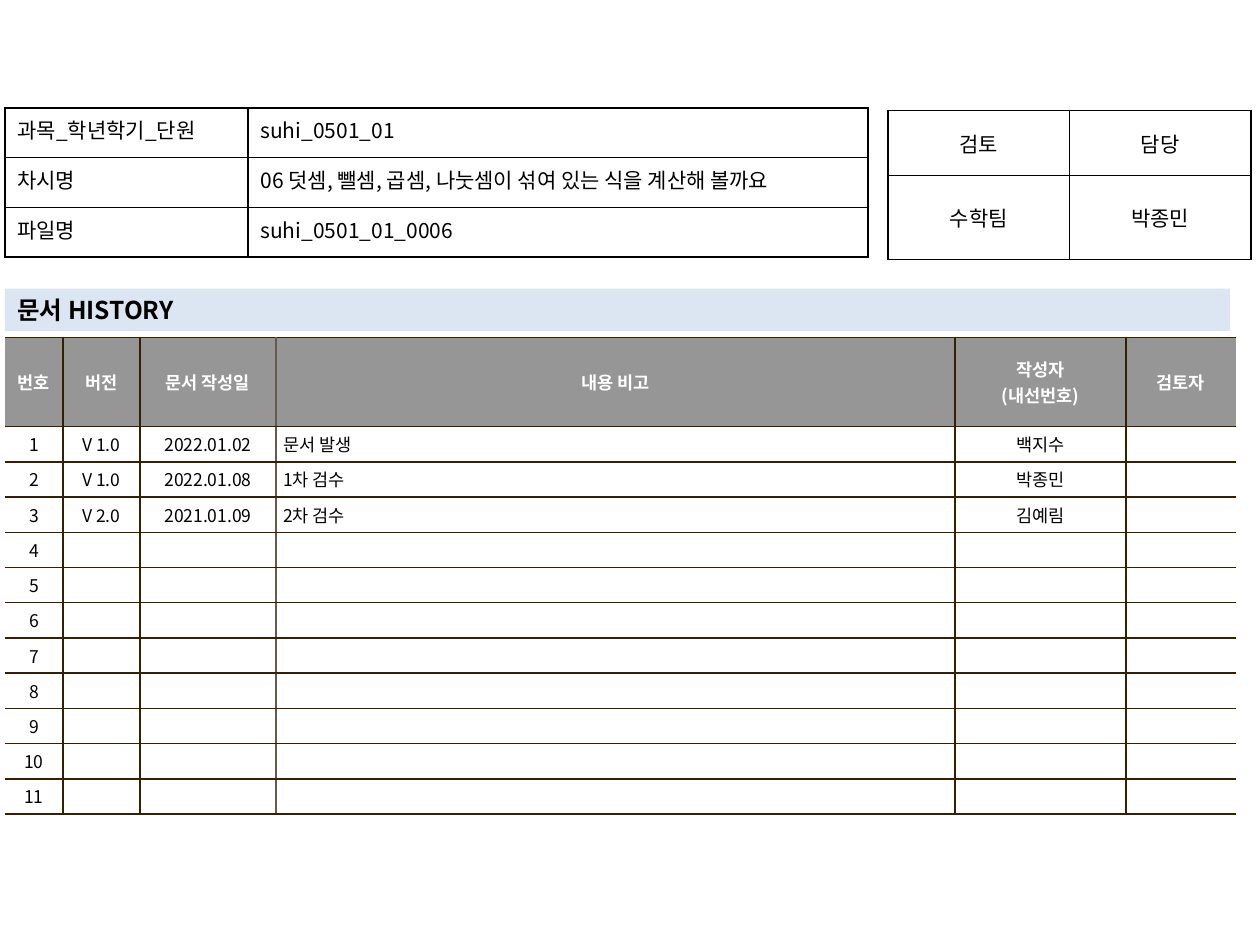
from lxml import etree
from pptx import Presentation
from pptx.dml.color import RGBColor
from pptx.enum.shapes import MSO_SHAPE
from pptx.enum.text import MSO_ANCHOR, PP_ALIGN
from pptx.oxml.ns import qn
from pptx.util import Cm, Pt

RECT = MSO_SHAPE.RECTANGLE
TOP, MID = MSO_ANCHOR.TOP, MSO_ANCHOR.MIDDLE
LEFT, MIDDLE, JUST = PP_ALIGN.LEFT, PP_ALIGN.CENTER, PP_ALIGN.JUSTIFY
FONT = "Noto Sans CJK KR"
BLACK, WHITE, GRAY, BLUE = "000000", "FFFFFF", "969696", "DCE6F2"
BROWN, TAUPE = "362000", "645B4C"
HEADS = ["번호", "버전", "문서 작성일", "내용 비고", "작성자\n(내선번호)", "검토자"]
LOGS = [
    ["V 1.0", "2022.01.02", "문서 발생", "백지수"],
    ["V 1.0", "2022.01.08", "1차 검수", "박종민"],
    ["V 2.0", "2021.01.09", "2차 검수", "김예림"],
]
LINES = 11


def color(code):
    """Turn a hex string into a colour."""
    return RGBColor.from_string(code)


def write(frame, text, size, align, ink=BLACK, bold=False):
    """Fill a text frame, one paragraph for each line of text."""
    for num, line in enumerate(text.split("\n")):
        para = frame.add_paragraph() if num else frame.paragraphs[0]
        para.alignment = align
        if not line:
            end = etree.SubElement(para._p, qn("a:endParaRPr"))
            end.set("sz", str(size * 100))
            continue
        run = para.add_run()
        run.text = line
        font = run.font
        font.name, font.size, font.bold = FONT, Pt(size), bold
        font.color.rgb = color(ink)
        east = etree.SubElement(run._r.get_or_add_rPr(), qn("a:ea"))
        east.set("typeface", FONT)


def edge(cell, sides):
    """Draw one-point borders; sides maps L, R, T and B to a colour or None."""
    props = cell._tc.get_or_add_tcPr()
    for side in "LRTB":
        line = etree.SubElement(props, qn("a:ln" + side), w=str(Pt(1)))
        code = sides[side]
        if code is None:
            etree.SubElement(line, qn("a:noFill"))
        else:
            fill = etree.SubElement(line, qn("a:solidFill"))
            etree.SubElement(fill, qn("a:srgbClr"), val=code)


def pad(cell, across, down):
    """Set the cell margins in centimetres."""
    cell.margin_left = cell.margin_right = Cm(across)
    cell.margin_top = cell.margin_bottom = Cm(down)


def grid(slide, left, top, cols, rows):
    """Add a plain table with the given column widths and row heights."""
    frame = slide.shapes.add_table(
        len(rows), len(cols), Cm(left), Cm(top), Cm(sum(cols)), Cm(sum(rows)))
    table = frame.table
    table.first_row = table.horz_banding = False
    for col, width in zip(table.columns, cols):
        col.width = Cm(width)
    for row, height in zip(table.rows, rows):
        row.height = Cm(height)
    return table


def form(slide, left, top, cols, rows, texts, aligns, anchor):
    """Add a black-ruled table of short entries."""
    table = grid(slide, left, top, cols, rows)
    for r, line in enumerate(texts):
        for c, text in enumerate(line):
            cell = table.cell(r, c)
            edge(cell, dict.fromkeys("LRTB", BLACK))
            cell.fill.background()
            pad(cell, 0.25, 0.13)
            cell.vertical_anchor = anchor
            write(cell.text_frame, text, 12, aligns[c])


def banner(slide, left, top, width, height, text):
    """Add the tinted heading bar."""
    bar = slide.shapes.add_shape(RECT, Cm(left), Cm(top), Cm(width), Cm(height))
    bar.shadow.inherit = False
    bar.fill.solid()
    bar.fill.fore_color.rgb = color(BLUE)
    bar.line.fill.background()
    frame = bar.text_frame
    frame.word_wrap = True
    frame.vertical_anchor = MID
    write(frame, text, 14, LEFT, bold=True)


def history(slide, left, top):
    """Add the change log with its header and numbered lines."""
    cols = [1.17, 1.55, 2.74, 13.69, 3.45, 2.21]
    table = grid(slide, left, top, cols, [1.8] + [0.71] * LINES)
    last = len(cols) - 1
    for r in range(LINES + 1):
        log = LOGS[r - 1] if 0 < r <= len(LOGS) else [""] * 4
        texts = [str(r), *log, ""] if r else HEADS
        for c, text in enumerate(texts):
            cell = table.cell(r, c)
            edge(cell, {
                "L": None if c == 0 else TAUPE if c == 3 else BROWN,
                "R": None if c == last else TAUPE if c == 2 else BROWN,
                "T": BROWN, "B": BROWN})
            cell.fill.solid()
            cell.fill.fore_color.rgb = color(WHITE if r else GRAY)
            pad(cell, 0.15, 0.1)
            cell.vertical_anchor = MID
            align = LEFT if r and c == 3 else MIDDLE
            write(cell.text_frame, text, 10, align, BLACK if r else WHITE, not r)


def main():
    """Build the document history slide."""
    deck = Presentation()
    deck.slide_width, deck.slide_height = Cm(25.4), Cm(19.05)
    slide = deck.slides.add_slide(deck.slide_layouts[6])
    left = 0.1
    history(slide, left, 6.8)
    form(slide, 17.9, 2.23, [3.66] * 2, [1.31, 1.69],
         [["검토", "담당"], ["수학팀", "박종민"]], [MIDDLE, MIDDLE], MID)
    banner(slide, left, 5.82, 24.7, 0.85, "문서 HISTORY")
    form(slide, left, 2.18, [4.9, 12.5], [1] * 3,
         [["과목_학년학기_단원", "suhi_0501_01"],
          ["차시명", "06 덧셈, 뺄셈, 곱셈, 나눗셈이 섞여 있는 식을 계산해 볼까요"],
          ["파일명", "suhi_0501_01_0006"]], [JUST, LEFT], TOP)
    deck.save("out.pptx")


if __name__ == "__main__":
    main()
